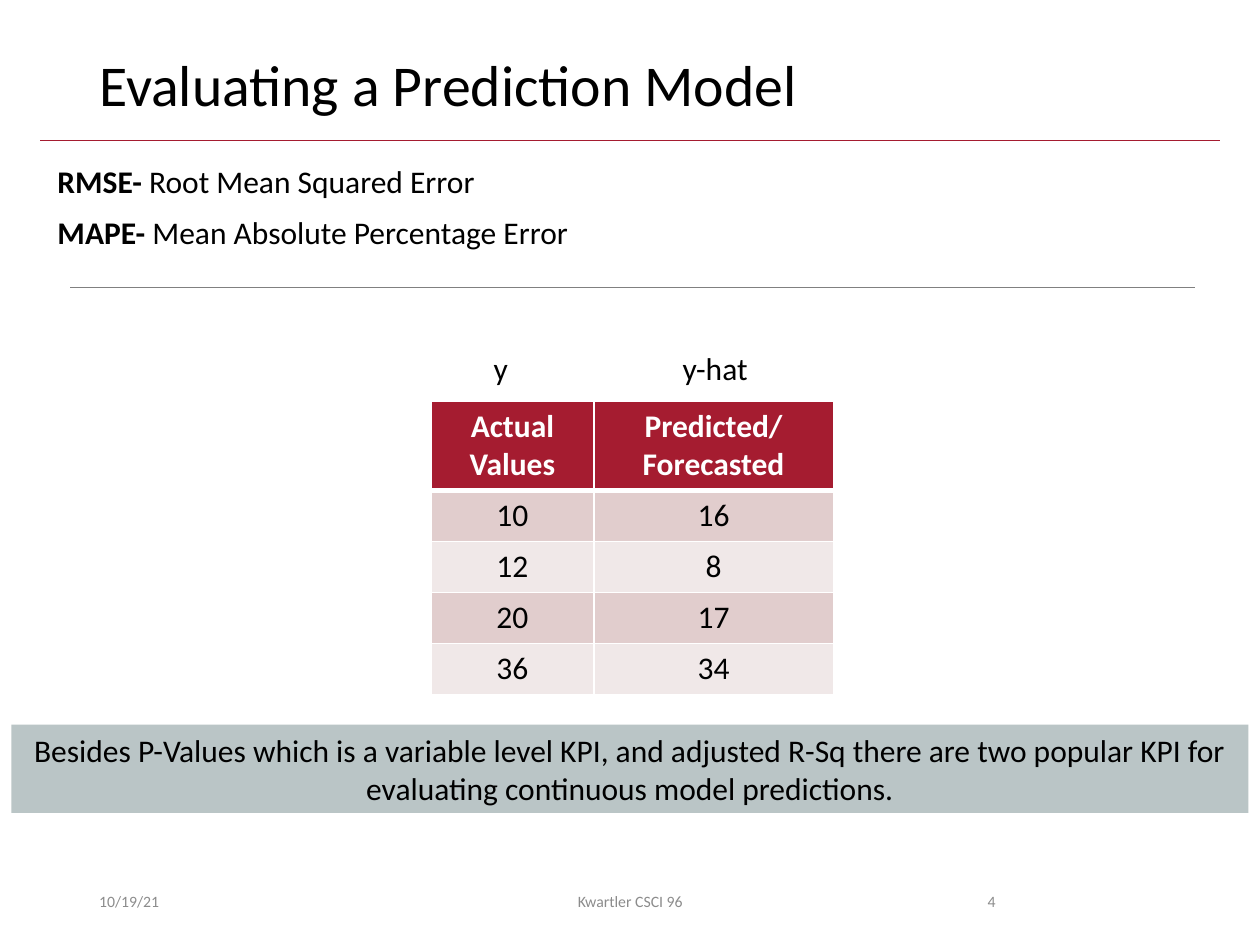
from dataclasses import dataclass

from lxml import etree
from pptx import Presentation
from pptx.dml.color import RGBColor
from pptx.enum.shapes import MSO_CONNECTOR, MSO_SHAPE
from pptx.enum.text import MSO_ANCHOR, MSO_AUTO_SIZE, PP_ALIGN
from pptx.oxml.ns import qn
from pptx.util import Cm, Pt

LEFT, CENTER, RIGHT = PP_ALIGN.LEFT, PP_ALIGN.CENTER, PP_ALIGN.RIGHT
TOP, MIDDLE = MSO_ANCHOR.TOP, MSO_ANCHOR.MIDDLE
FIT, FIXED = MSO_AUTO_SIZE.SHAPE_TO_FIT_TEXT, MSO_AUTO_SIZE.NONE
STRAIGHT, RECTANGLE = MSO_CONNECTOR.STRAIGHT, MSO_SHAPE.RECTANGLE

BLACK = RGBColor(0x00, 0x00, 0x00)
WHITE = RGBColor(0xFF, 0xFF, 0xFF)
CRIMSON = RGBColor(0xA5, 0x1C, 0x30)
GRAY = RGBColor(0x80, 0x80, 0x80)
FOOTER_GRAY = RGBColor(0x8C, 0x8C, 0x8C)
BANNER_GRAY = RGBColor(0xBA, 0xC5, 0xC6)
BAND_DARK = RGBColor(0xE1, 0xCD, 0xCD)
BAND_LIGHT = RGBColor(0xF0, 0xE8, 0xE8)

FONT = "Calibri"
FOOTER_TOP, FOOTER_HEIGHT = 17.65, 1.02
LABEL_HEIGHT = 1.02


@dataclass
class Label:
    text: str
    left: float
    top: float
    width: float
    height: float = LABEL_HEIGHT
    size: float = 18
    color: RGBColor = BLACK
    align: PP_ALIGN = LEFT
    anchor: MSO_ANCHOR = TOP
    wrap: bool = False
    bold_lead: str = ""
    line_spacing: float = 1.0


@dataclass
class Rule:
    left: float
    right: float
    y: float
    color: RGBColor


RULES = [
    Rule(0.81, 24.59, 2.84, CRIMSON),
    Rule(1.42, 24.08, 5.79, GRAY),
]


def footer(text: str, left: float, width: float, align: PP_ALIGN) -> Label:
    return Label(text, left, FOOTER_TOP, width, FOOTER_HEIGHT, 9, FOOTER_GRAY,
                 align, MIDDLE, True)


LABELS = [
    Label("Evaluating a Prediction Model", 1.75, 1.02, 21.9, 1.65, 33,
          wrap=True, line_spacing=0.9),
    Label(" Root Mean Squared Error", 0.91, 3.15, 9.04, bold_lead="RMSE-"),
    Label(" Mean Absolute Percentage Error", 0.91, 4.17, 10.92, bold_lead="MAPE-"),
    Label("y", 9.7, 6.91, 0.81),
    Label("y-hat", 13.51, 6.91, 1.85),
    footer("10/19/21", 1.75, 5.72, LEFT),
    footer("Kwartler CSCI 96", 8.41, 8.59, CENTER),
    footer("4", 17.93, 2.39, RIGHT),
]

BANNER = ("Besides P-Values which is a variable level KPI, and adjusted R-Sq there "
          "are two popular KPI for evaluating continuous model predictions.")

VALUES = [
    ("Actual Values", "Predicted/Forecasted"),
    ("10", "16"),
    ("12", "8"),
    ("20", "17"),
    ("36", "34"),
]
COLUMN_WIDTHS = (3.28, 4.83)
ROW_HEIGHT = 1.03


def format_run(r, size: float, color: RGBColor, bold: bool = False) -> None:
    r.font.name = FONT
    r.font.size = Pt(size)
    r.font.bold = bold
    r.font.color.rgb = color


def add_label(s, label: Label) -> None:
    box = s.shapes.add_textbox(Cm(label.left), Cm(label.top), Cm(label.width), Cm(label.height))
    tf = box.text_frame
    tf.word_wrap = label.wrap
    tf.auto_size = FIXED if label.wrap else FIT
    tf.vertical_anchor = label.anchor
    p = tf.paragraphs[0]
    p.alignment = label.align
    p.line_spacing = label.line_spacing
    if label.bold_lead:
        r = p.add_run()
        r.text = label.bold_lead
        format_run(r, label.size, label.color, True)
    r = p.add_run()
    r.text = label.text
    format_run(r, label.size, label.color)


def add_rule(s, rule: Rule) -> None:
    line = s.shapes.add_connector(STRAIGHT, Cm(rule.left), Cm(rule.y), Cm(rule.right), Cm(rule.y))
    line.line.color.rgb = rule.color
    line.line.width = Pt(0.5)
    etree.SubElement(line._element.spPr, qn("a:effectLst"))


def add_banner(s) -> None:
    sp = s.shapes.add_shape(RECTANGLE, Cm(0.23), Cm(14.61), Cm(24.94), Cm(1.78))
    sp.shadow.inherit = False
    sp.fill.solid()
    sp.fill.fore_color.rgb = BANNER_GRAY
    sp.line.fill.background()
    tf = sp.text_frame
    tf.word_wrap = True
    tf.vertical_anchor = MIDDLE
    tf.text = BANNER
    p = tf.paragraphs[0]
    p.alignment = CENTER
    format_run(p.runs[0], 18, BLACK)


def set_borders(cell, top: float, bottom: float) -> None:
    tc_pr = cell._tc.get_or_add_tcPr()
    widths = {"lnL": 1, "lnR": 1, "lnT": top, "lnB": bottom}
    for i, (side, width) in enumerate(widths.items()):
        ln = etree.Element(qn(f"a:{side}"), w=str(Pt(width)))
        fill = etree.SubElement(ln, qn("a:solidFill"))
        etree.SubElement(fill, qn("a:srgbClr"), val=str(WHITE))
        tc_pr.insert(i, ln)


def add_values_table(s) -> None:
    frame = s.shapes.add_table(len(VALUES), len(COLUMN_WIDTHS), Cm(8.69), Cm(8.08),
                               Cm(sum(COLUMN_WIDTHS)), Cm(ROW_HEIGHT * len(VALUES)))
    table = frame.table
    for column, width in zip(table.columns, COLUMN_WIDTHS):
        column.width = Cm(width)
    for i, row in enumerate(VALUES):
        table.rows[i].height = Cm(ROW_HEIGHT)
        header = i == 0
        band = CRIMSON if header else BAND_DARK if i % 2 else BAND_LIGHT
        for j, value in enumerate(row):
            cell = table.cell(i, j)
            cell.fill.solid()
            cell.fill.fore_color.rgb = band
            set_borders(cell, 3 if i == 1 else 1, 3 if header else 1)
            cell.text_frame.text = value
            p = cell.text_frame.paragraphs[0]
            p.alignment = CENTER
            format_run(p.runs[0], 18, WHITE if header else BLACK, header)


def main() -> None:
    prs = Presentation()
    prs.slide_width, prs.slide_height = Cm(25.4), Cm(19.05)
    s = prs.slides.add_slide(prs.slide_layouts[6])
    for rule in RULES:
        add_rule(s, rule)
    add_banner(s)
    add_values_table(s)
    for label in LABELS:
        add_label(s, label)
    prs.save("out.pptx")


if __name__ == "__main__":
    main()
